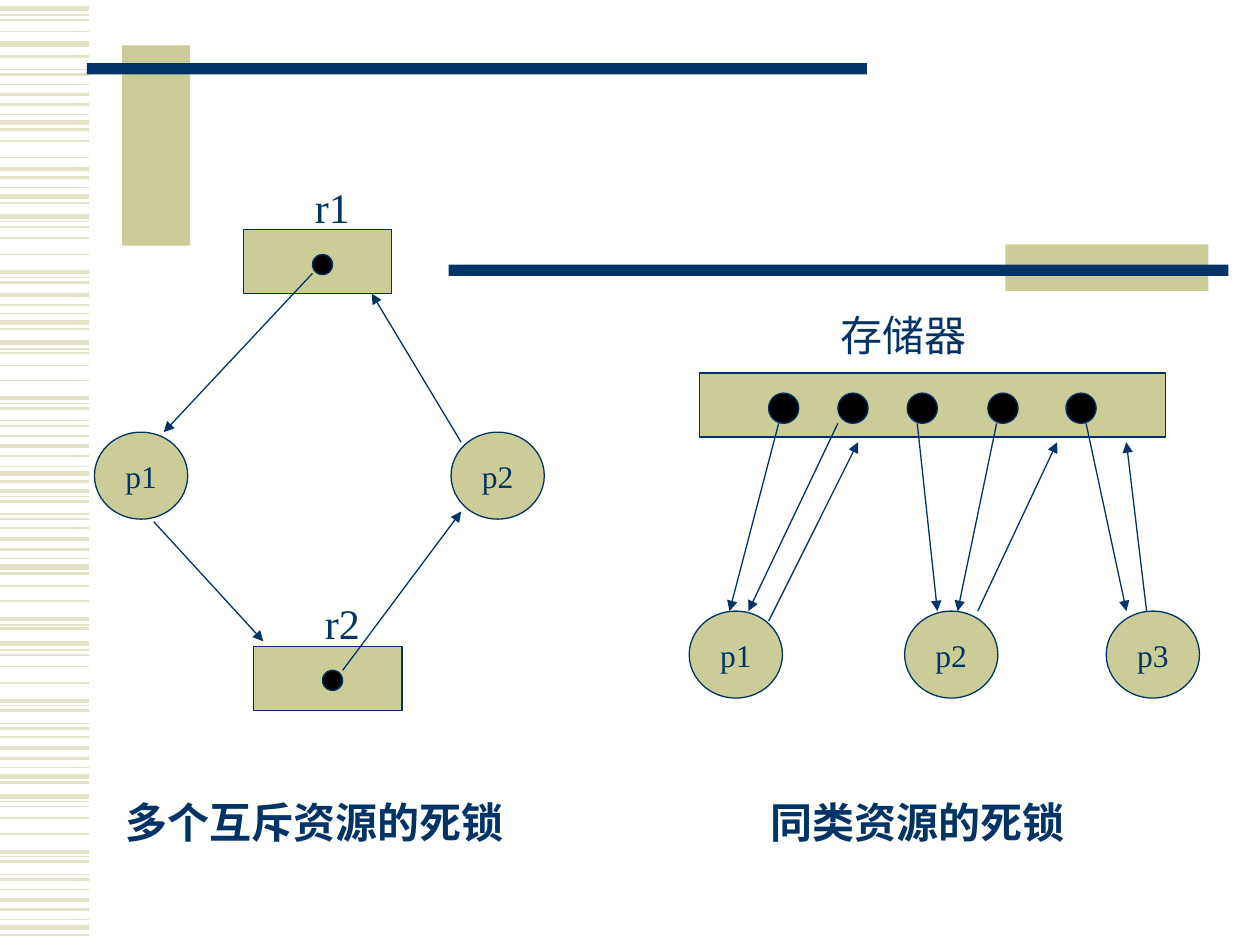
"""Build a slide comparing deadlock on several exclusive resources with deadlock on one resource type."""
from typing import NamedTuple

from lxml import etree
from pptx import Presentation
from pptx import util as u
from pptx.dml.color import RGBColor
from pptx.enum import shapes, text
from pptx.oxml.ns import qn
from pptx.shapes.shapetree import GroupShapes

PX = u.Inches(1) // 100
NAVY = RGBColor(0x00, 0x33, 0x66)
KHAKI = RGBColor(0xCC, 0xCC, 0x99)
PALE = RGBColor(0xE3, 0xE2, 0xC7)
BLACK = RGBColor(0x00, 0x00, 0x00)
FONT = "Times New Roman"
RECT = shapes.MSO_SHAPE.RECTANGLE
OVAL = shapes.MSO_SHAPE.OVAL


class Box(NamedTuple):
    x: int
    y: int
    w: int
    h: int


class Process(NamedTuple):
    name: str
    x: int
    y: int


class Label(NamedTuple):
    words: str
    box: Box
    bold: bool = False
    wrap: bool = True


class Arrow(NamedTuple):
    x1: int
    y1: int
    x2: int
    y2: int


class Diagram(NamedTuple):
    resources: list[Box]
    units: list[Box]
    processes: list[Process]
    labels: list[Label]
    arrows: list[Arrow]


STRIPE_WIDTH = 71
STRIPES = {
    0.75: [12, 55, 91, 149, 176, 220, 249, 277, 320, 334, 370, 394, 408, 443, 496, 516,
           560, 574, 609, 636, 680, 694, 730],
    1: [16, 25, 67, 112, 125, 180, 189, 202, 280, 290, 302, 346, 419, 465, 477, 520,
        529, 542, 585, 640, 649, 662, 706],
    1.5: [45, 59, 83, 103, 141, 161, 224, 242, 261, 324, 338, 362, 382, 398, 412, 436,
          455, 499, 564, 578, 602, 621, 684, 698, 722, 742],
    2.25: [75, 134, 216, 234, 316, 354, 390, 428, 491, 556, 594, 676, 714],
    3: [7, 35, 97, 156, 172, 256, 272, 376, 450, 511, 616, 632, 736],
}
BANDS = [
    (Box(97, 36, 54, 159), KHAKI),
    (Box(69, 50, 619, 9), NAVY),
    (Box(798, 194, 161, 37), KHAKI),
    (Box(356, 210, 619, 9), NAVY),
]
EXCLUSIVE = Diagram(
    resources=[Box(193, 182, 118, 51), Box(201, 513, 118, 51)],
    units=[Box(248, 202, 16, 16), Box(256, 532, 16, 16)],
    processes=[Process("p1", 75, 343), Process("p2", 358, 343)],
    labels=[
        Label("r1", Box(240, 139, 48, 50), wrap=False),
        Label("r2", Box(248, 469, 48, 50), wrap=False),
        Label("多个互斥资源的死锁", Box(90, 627, 362, 50), bold=True),
    ],
    arrows=[
        Arrow(122, 414, 209, 509),
        Arrow(248, 217, 130, 343),
        Arrow(366, 351, 295, 233),
        Arrow(272, 532, 366, 406),
    ],
)
SAME_TYPE = Diagram(
    resources=[Box(555, 296, 370, 51)],
    units=[Box(x, 312, 24, 24) for x in (610, 665, 720, 784, 846)],
    processes=[Process("p1", 547, 485), Process("p2", 718, 485), Process("p3", 878, 485)],
    labels=[
        Label("存储器", Box(657, 241, 160, 50)),
        Label("同类资源的死锁", Box(602, 627, 307, 50), bold=True),
    ],
    arrows=[
        *(Arrow(x1, 336, x2, 485) for x1, x2 in
          ((618, 579), (665, 594), (728, 744), (791, 760), (862, 894))),
        Arrow(610, 493, 681, 351),
        Arrow(776, 485, 839, 351),
        Arrow(910, 485, 894, 351),
    ],
)


def emu(*lengths: int) -> list[int]:
    return [n * PX for n in lengths]


def add_words(tf: text, words: str, size: int, bold: bool = False) -> None:
    r = tf.paragraphs[0].add_run()
    r.text = words
    r.font.name = FONT
    r.font.size = u.Pt(size)
    r.font.bold = bold
    r.font.color.rgb = NAVY


def add_block(tree: GroupShapes, kind: shapes.MSO_SHAPE, box: Box, fill: RGBColor,
              outlined: bool = True, words: str = "") -> None:
    sp = tree.add_shape(kind, *emu(*box))
    sp.shadow.inherit = False
    sp.fill.solid()
    sp.fill.fore_color.rgb = fill
    if outlined:
        sp.line.color.rgb = NAVY
        sp.line.width = u.Pt(0.75)
    else:
        sp.line.fill.background()
    if words:
        tf = sp.text_frame
        tf.vertical_anchor = text.MSO_ANCHOR.MIDDLE
        tf.paragraphs[0].alignment = text.PP_ALIGN.CENTER
        add_words(tf, words, 18)


def add_label(tree: GroupShapes, label: Label) -> None:
    tf = tree.add_textbox(*emu(*label.box)).text_frame
    tf.word_wrap = label.wrap
    tf.auto_size = text.MSO_AUTO_SIZE.SHAPE_TO_FIT_TEXT
    add_words(tf, label.words, 24, label.bold)


def add_line(tree: GroupShapes, ends: Arrow, color: RGBColor, weight: float,
             arrowhead: bool = False) -> None:
    cxn = tree.add_connector(shapes.MSO_CONNECTOR.STRAIGHT, *emu(*ends))
    cxn.line.color.rgb = color
    cxn.line.width = u.Pt(weight)
    if arrowhead:
        etree.SubElement(cxn.line._get_or_add_ln(), qn("a:tailEnd"), type="triangle")
    etree.SubElement(cxn._element.spPr, qn("a:effectLst"))


def draw_background(tree: GroupShapes) -> None:
    for weight, rows in STRIPES.items():
        for y in rows:
            add_line(tree, Arrow(0, y, STRIPE_WIDTH, y), PALE, weight)
    for box, fill in BANDS:
        add_block(tree, RECT, box, fill, outlined=False)


def draw_diagram(tree: GroupShapes, diagram: Diagram) -> None:
    for box in diagram.resources:
        add_block(tree, RECT, box, KHAKI)
    for box in diagram.units:
        add_block(tree, OVAL, box, BLACK)
    for process in diagram.processes:
        add_block(tree, OVAL, Box(process.x, process.y, 74, 69), KHAKI, words=process.name)
    for label in diagram.labels:
        add_label(tree, label)
    for arrow in diagram.arrows:
        add_line(tree, arrow, NAVY, 0.75, arrowhead=True)


def main() -> None:
    prs = Presentation()
    prs.slide_width, prs.slide_height = emu(1000, 750)
    slide = prs.slides.add_slide(prs.slide_layouts[6])
    draw_background(slide.shapes.add_group_shape().shapes)
    for diagram in (EXCLUSIVE, SAME_TYPE):
        draw_diagram(slide.shapes.add_group_shape().shapes, diagram)
    prs.save("out.pptx")


if __name__ == "__main__":
    main()
